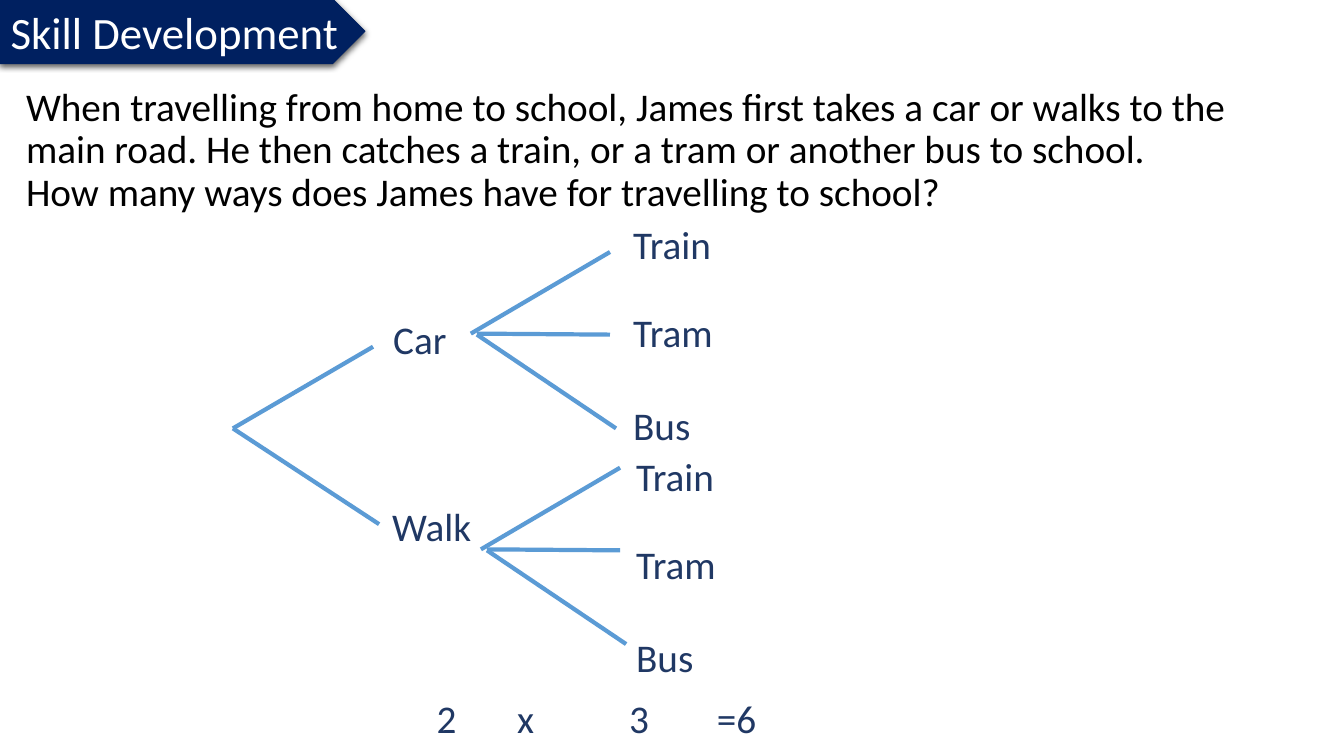
import pptx
import pptx.dml.color
import pptx.enum.shapes
import pptx.enum.text
import pptx.util
from lxml import etree

PX = 9144  # EMU per px, 100 px to the inch
FONT = "Calibri"
COLOURS = {"banner": "002060", "white": "FFFFFF", "black": "000000",
           "branch": "5B9BD5", "label": "203864"}
DRAWING = "{http://schemas.openxmlformats.org/drawingml/2006/main}"


def px(*lengths):
    return [pptx.util.Emu(length * PX) for length in lengths]


def colour(name):
    return pptx.dml.color.RGBColor.from_string(COLOURS[name])


def write(box, text, size=28, fill="label", inset=(0, 0), wrap=True,
          align="LEFT", anchor="TOP", spacing=None):
    """Fill a box with one paragraph; a newline becomes a line break."""
    frame = box.text_frame
    frame.word_wrap = wrap
    frame.margin_left = frame.margin_right = px(inset[0])[0]
    frame.margin_top = frame.margin_bottom = px(inset[1])[0]
    frame.vertical_anchor = getattr(pptx.enum.text.MSO_ANCHOR, anchor)
    para = frame.paragraphs[0]
    para.alignment = getattr(pptx.enum.text.PP_ALIGN, align)
    para.line_spacing = spacing
    for number, line in enumerate(text.split("\n")):
        if number:
            para.add_line_break()
        span = para.add_run()
        span.text = line
        span.font.name = FONT
        span.font.size = pptx.util.Pt(size)
        span.font.color.rgb = colour(fill)


def add_label(page, text, left, top, width):
    write(page.shapes.add_textbox(*px(left, top, width, 47)), text)


# Title banner with a soft shadow
def add_banner(page, left, top, width, height):
    banner = page.shapes.add_shape(pptx.enum.shapes.MSO_SHAPE.PENTAGON,
                                   *px(left, top, width, height))
    banner.fill.solid()
    banner.fill.fore_color.rgb = colour("banner")
    banner.line.color.rgb = colour("banner")
    banner.line.width = pptx.util.Pt(0.75)
    banner.shadow.inherit = False
    effects = banner.element.spPr.find(DRAWING + "effectLst")
    shadow = etree.SubElement(effects, DRAWING + "outerShdw", blurRad="57150",
                              dist="19050", dir="5400000", algn="ctr", rotWithShape="0")
    shade = etree.SubElement(shadow, DRAWING + "srgbClr", val=COLOURS["black"])
    etree.SubElement(shade, DRAWING + "alpha", val="63000")
    write(banner, "Skill Development", size=32, fill="white", inset=(10, 5),
          wrap=False, align="CENTER", anchor="MIDDLE")


# Question
def add_question(page, left, top, width, height):
    box = page.shapes.add_textbox(*px(left, top, width, height))
    write(box, "When travelling from home to school, James first takes a car or walks "
               "to the main road. He then catches a train, or a tram or another bus "
               "to school. \nHow many ways does James have for travelling to school?",
          fill="black", inset=(10, 5), spacing=0.9)


# Branches that spread from one point
def add_fan(page, left, top, branches):
    fan = page.shapes.add_group_shape()
    for x1, y1, x2, y2 in branches:
        branch = fan.shapes.add_connector(
            pptx.enum.shapes.MSO_CONNECTOR.STRAIGHT,
            *px(left + x1, top + y1, left + x2, top + y2))
        branch.line.color.rgb = colour("branch")
        branch.line.width = pptx.util.Pt(3)
        etree.SubElement(branch.element.spPr, DRAWING + "effectLst")


# Tree diagram: two first steps, three second steps each
def add_tree(page, left, top):
    add_fan(page, left, top + 206, [(0, 0, 139, -81), (0, 0, 145, 95)])
    add_label(page, "Car", left + 159, top + 94, 55)
    add_label(page, "Walk", left + 158, top + 279, 81)
    second_step = [(0, 0, 138, -81), (6, 1, 144, 94), (6, 0, 138, 1)]
    for fan_x, fan_y, label_x, label_y in [(236, 112, 397, 0), (246, 326, 400, 230)]:
        add_fan(page, left + fan_x, top + fan_y, second_step)
        for text, drop in [("Train", 0), ("Tram", 87), ("Bus", 179)]:
            add_label(page, text, left + label_x, top + label_y + drop, 81)


# Product of the choices
def add_product(page, left, top):
    for text, offset, width in [("2", 0, 21), ("x", 80, 18), ("3", 191, 21), ("=6", 278, 42)]:
        add_label(page, text, left + offset, top, width)


def main():
    deck = pptx.Presentation()
    deck.slide_width, deck.slide_height = px(1333, 750)
    page = deck.slides.add_slide(deck.slide_layouts[6])
    add_banner(page, 0, -1, 362, 64)
    add_question(page, 16, 82, 1255, 166)
    add_tree(page, 231, 219)
    add_product(page, 433, 689)
    deck.save("out.pptx")


if __name__ == "__main__":
    main()
